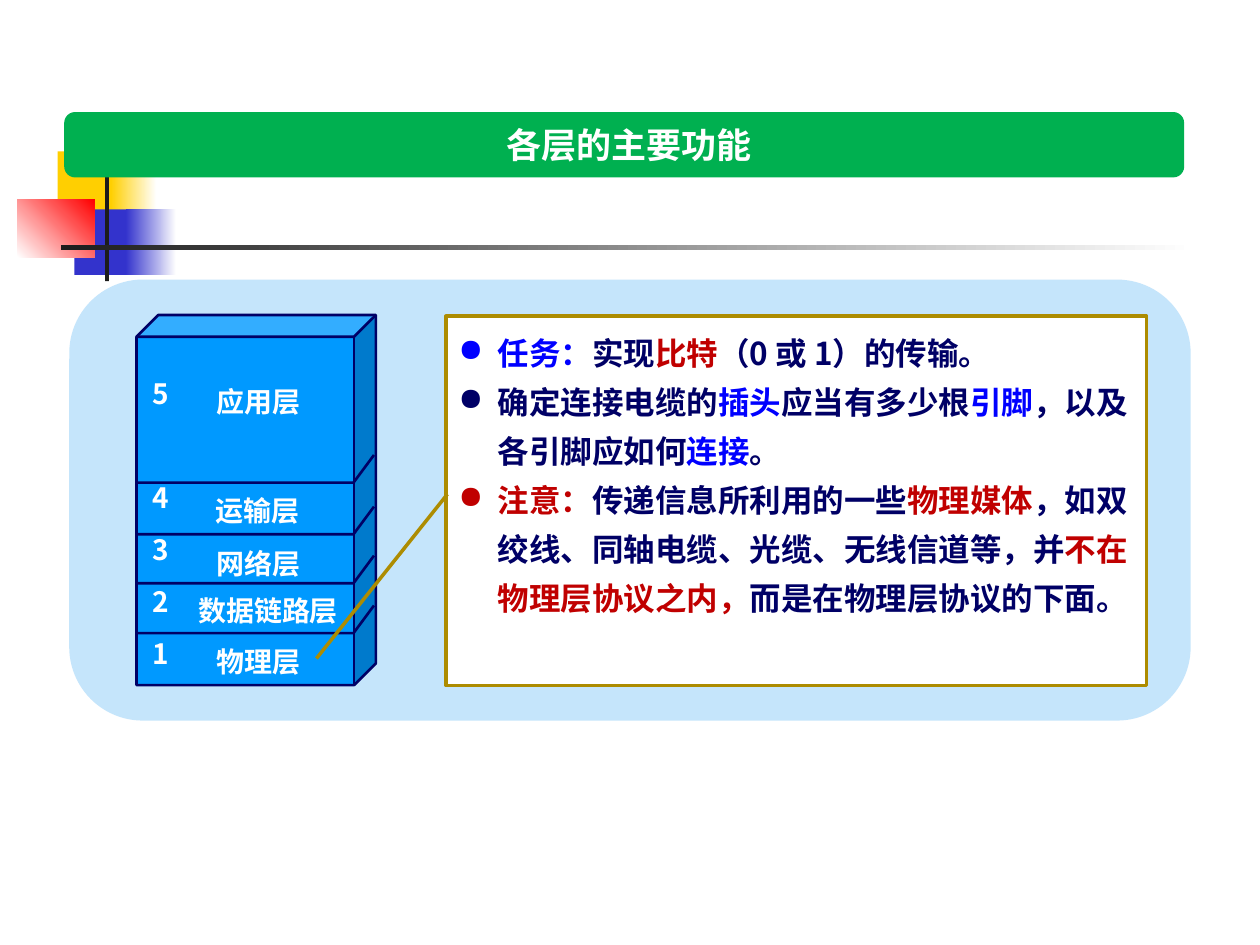
from lxml import etree
from pptx import Presentation
from pptx import util as u
from pptx.dml import color
from pptx.enum import shapes, text
from pptx.oxml import ns

FONT = "Noto Sans CJK SC"
WHITE, NAVY, BLUE, RED = "FFFFFF", "000066", "0000FF", "C00000"
GOLD, YELLOW, INDIGO, BLACK = "AD8C01", "FFCF01", "3333CC", "1C1C1C"
SHAPE = shapes.MSO_SHAPE


def rgb(value):
    return color.RGBColor.from_string(value)


class SlideBuilder:
    """Holds the text style and the slide being built."""

    def __init__(self, page, font):
        self.page = page
        self.font = font

    def finish(self, shape, line, width):
        shape.shadow.inherit = False
        if line:
            shape.line.color.rgb = rgb(line)
            shape.line.width = u.Pt(width)
        else:
            shape.line.fill.background()
        return shape

    def shape(self, kind, left, top, width, height, fill, line=None,
              weight=1.5, adjust=()):
        shape = self.page.shapes.add_shape(
            kind, u.Pt(left), u.Pt(top), u.Pt(width), u.Pt(height))
        shape.fill.solid()
        shape.fill.fore_color.rgb = rgb(fill)
        for index, value in enumerate(adjust):
            shape.adjustments[index] = value
        return self.finish(shape, line, weight)

    def gradient(self, left, top, width, height, start, end, angle=0):
        shape = self.shape(SHAPE.RECTANGLE, left, top, width, height, start)
        shape.fill.gradient()
        shape.fill.gradient_angle = angle
        for stop, value, place in zip(shape.fill.gradient_stops,
                                      (start, end), (0, 1)):
            stop.color.rgb = rgb(value)
            stop.position = place
        return shape

    def polyline(self, points, line):
        points = [(u.Pt(x), u.Pt(y)) for x, y in points]
        builder = self.page.shapes.build_freeform(*points[0])
        builder.add_line_segments(points[1:], close=False)
        shape = builder.convert_to_shape()
        shape.fill.background()
        return self.finish(shape, line, 1.5)

    def style(self, para, size, ink=None):
        font = para.font
        font.size = u.Pt(size)
        font.bold = True
        font.name = self.font
        if ink:
            font.color.rgb = rgb(ink)
        east = etree.SubElement(font._rPr, ns.qn("a:ea"))
        east.set("typeface", self.font)

    def text(self, lines, left, top, width, height, size,
             align=text.PP_ALIGN.LEFT, wrap=False, spacing=None):
        box = self.page.shapes.add_textbox(
            u.Pt(left), u.Pt(top), u.Pt(width), u.Pt(height))
        frame = box.text_frame
        frame.word_wrap = wrap
        frame.text = "\n".join(lines)
        for para in frame.paragraphs:
            para.alignment = align
            if spacing:
                para.line_spacing = u.Pt(spacing)
            self.style(para, size, WHITE)
        return box

    def bullets(self, box, items, size, spacing, indent):
        frame = box.text_frame
        frame.word_wrap = True
        frame.vertical_anchor = text.MSO_ANCHOR.TOP
        for index, spans in enumerate(items):
            para = frame.paragraphs[0] if index == 0 else frame.add_paragraph()
            para.alignment = text.PP_ALIGN.LEFT
            para.line_spacing = u.Pt(spacing)
            props = para._p.get_or_add_pPr()
            props.set("marL", str(u.Pt(indent)))
            props.set("indent", str(-u.Pt(indent)))
            tint = etree.SubElement(props, ns.qn("a:buClr"))
            etree.SubElement(tint, ns.qn("a:srgbClr")).set("val", spans[0][1])
            etree.SubElement(props, ns.qn("a:buChar")).set("char", "●")
            self.style(para, size)
            for words, ink in spans:
                span = para.add_run()
                span.text = words
                span.font.color.rgb = rgb(ink)


def main():
    deck = Presentation()
    deck.slide_width, deck.slide_height = u.Pt(720), u.Pt(540)
    page = deck.slides.add_slide(deck.slide_layouts[6])
    slide = SlideBuilder(page, FONT)

    # Corner ornament and rule
    slide.shape(SHAPE.RECTANGLE, 33, 86.5, 34.5, 37.5, YELLOW)
    slide.gradient(63.4, 86.5, 26, 37.5, YELLOW, WHITE)
    slide.shape(SHAPE.RECTANGLE, 42.5, 119.6, 33, 37.5, INDIGO)
    slide.gradient(72, 119.6, 28.8, 37.5, INDIGO, WHITE)
    slide.gradient(10, 113.8, 44, 33.2, WHITE, "FF0000", angle=45)
    slide.shape(SHAPE.RECTANGLE, 60, 77.8, 2.3, 82.8, BLACK)
    slide.gradient(34.6, 140.2, 648, 2.4, BLACK, WHITE)

    # Title bar and background panel
    slide.shape(SHAPE.ROUNDED_RECTANGLE, 36.7, 64, 640, 37.4, "00B050",
                adjust=[0.167])
    slide.shape(SHAPE.ROUNDED_RECTANGLE, 39.6, 159.8, 640.8, 252, "C5E5FB")

    # Layer stack: a cube cut by bent lines
    slide.shape(SHAPE.CUBE, 78, 180, 136.8, 211.5, "0099FF", NAVY,
                adjust=[0.091])
    for top in (260, 289.5, 317.5, 346):
        slide.polyline([(213.7, top), (202, top + 15.8), (78, top + 15.8)],
                       NAVY)

    # Layer names and numbers
    for name, left, top in (("应用层", 116.5, 216), ("运输层", 116, 278.6),
                            ("网络层", 116.5, 309), ("数据链路层", 106.3, 335.5),
                            ("物理层", 116.5, 364.5)):
        slide.text([name], left, top, 14.4 + 16 * len(name), 26.6, 16)
    pitch = 29.7
    numbers = slide.text("54321", 80, 201, 24.5, 6 * pitch + 7.2, 16,
                         spacing=pitch)
    numbers.text_frame.paragraphs[1].space_before = u.Pt(pitch)

    # Callout on the physical layer
    callout = slide.shape(SHAPE.LINE_CALLOUT_1, 254.9, 180.7, 400.3, 211,
                          WHITE, GOLD, 2, [0.482, 0.002, 0.927, -0.185])
    slide.bullets(callout, [
        [("任务：", BLUE), ("实现", NAVY), ("比特", RED),
         ("（0 或 1）的传输。", NAVY)],
        [("确定连接电缆的", NAVY), ("插头", BLUE), ("应当有多少根", NAVY),
         ("引脚", BLUE), ("，以及各引脚应如何", NAVY), ("连接", BLUE),
         ("。", NAVY)],
        [("注意：", RED), ("传递信息所利用的一些", NAVY), ("物理媒体", RED),
         ("，如双绞线、同轴电缆、光缆、无线信道等，并", NAVY),
         ("不在物理层协议之内，", RED), ("而是在物理层协议的下面。", NAVY)],
    ], size=18, spacing=28, indent=22.5)

    # Title
    title = slide.text(["各层的主要功能"], 98.6, 64, 522, 37.4, 20,
                       text.PP_ALIGN.CENTER, wrap=True)
    title.text_frame.vertical_anchor = text.MSO_ANCHOR.MIDDLE

    deck.save("out.pptx")


if __name__ == "__main__":
    main()
